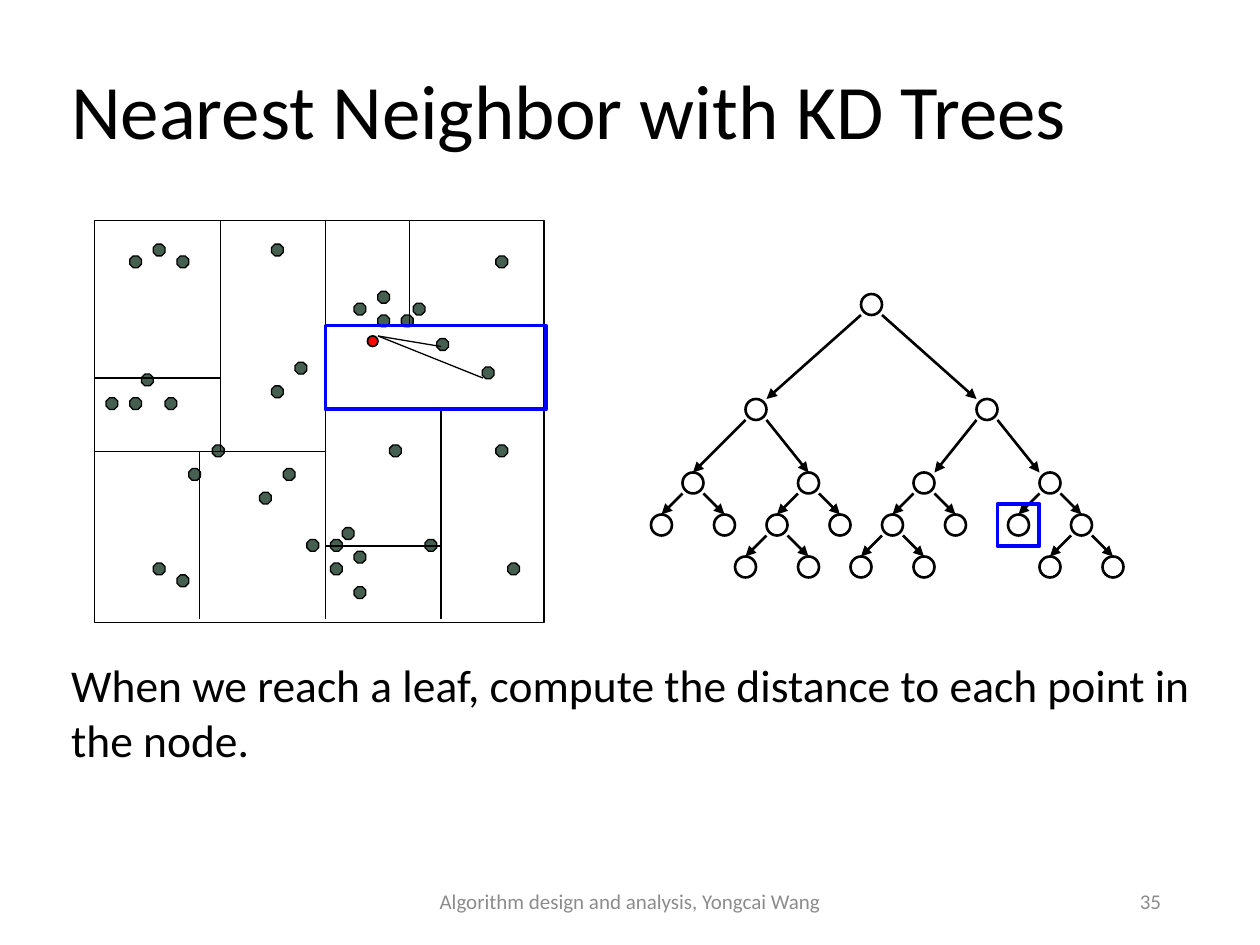
from dataclasses import dataclass

from lxml import etree
from pptx import Presentation
from pptx.dml.color import RGBColor
from pptx.enum.shapes import MSO_CONNECTOR, MSO_SHAPE
from pptx.enum.text import MSO_ANCHOR, PP_ALIGN
from pptx.oxml.ns import qn
from pptx.util import Inches, Pt

LINE = MSO_CONNECTOR.STRAIGHT
RECT, OVAL, OCTAGON = MSO_SHAPE.RECTANGLE, MSO_SHAPE.OVAL, MSO_SHAPE.OCTAGON
TOP, MIDDLE = MSO_ANCHOR.TOP, MSO_ANCHOR.MIDDLE
LEFT, CENTER, RIGHT = PP_ALIGN.LEFT, PP_ALIGN.CENTER, PP_ALIGN.RIGHT


@dataclass(frozen=True)
class Theme:
    font: str = "Calibri"
    ink: str = "000000"
    muted: str = "8C8C8C"
    point: str = "455F51"
    query: str = "FF0600"
    highlight: str = "0000FF"
    title: float = 44
    body: float = 26
    footer: float = 12
    hairline: float = 0.75
    thin: float = 1
    edge: float = 1.5
    bold: float = 2.25


THEME = Theme()

# The slide is a grid of 120 columns by 90 rows, 12 to the inch.
WIDTH, HEIGHT, PER_INCH = 120, 90, 12

# Data points lie on a finer lattice: row -> columns.
POINT_LEFT, POINT_TOP, POINT_STEP, POINT_SIZE = 10.1, 23.25, 1.125, 1.12
POINTS = {
    0: (4, 14), 1: (2, 6, 33), 4: (23,), 5: (21, 26), 6: (23, 25),
    8: (28,), 10: (16,), 11: (3,), 12: (14,), 13: (0, 2, 5),
    17: (9, 24, 33), 19: (7, 15), 21: (13,), 24: (20,),
    25: (17, 19, 27), 26: (21,), 27: (4, 19, 34), 28: (6,), 29: (21,),
    10.4: (31.85,),
}

# Splitting lines of the plane: x1, y1, x2, y2.
SPLITS = [
    (31, 21, 31, 59), (31, 39, 52, 39), (42, 39, 42, 59), (31, 52, 42, 52),
    (9, 43, 31, 43), (21, 43, 21, 21), (31, 31, 52, 31), (39, 21, 39, 31),
    (19, 43, 19, 59), (9, 36, 21, 36),
]
QUERY_START = (36, 32)
QUERY_ENDS = [(42, 33), (46, 36)]

LEVEL_TOPS = [28, 38, 45, 49, 53]
NODE_SIZE = 2


@dataclass(frozen=True)
class Node:
    """Tree node; inset shifts the incoming arrowhead towards the parent."""
    x: float
    inset: float = 0
    children: tuple = ()


def fork(x, inset=0, left=(), right=()):
    """Node with two children three columns to either side."""
    return Node(x, inset, (Node(x - 3, 0, left), Node(x + 3, 0, right)))


def leaf_pair(x):
    return fork(x).children


TREE = Node(83, 0, (
    Node(72, 1, (fork(66), fork(77, left=leaf_pair(74)))),
    Node(94, 1, (fork(88, 1, left=leaf_pair(85)),
                 fork(100, 1, right=leaf_pair(103)))),
))


def units(*values):
    return [Inches(v / PER_INCH) for v in values]


def rgb(color):
    return RGBColor.from_string(color)


def add_outline(slide, kind, box, width, color=THEME.ink, fill=None):
    sp = slide.shapes.add_shape(kind, *units(*box))
    sp.shadow.inherit = False
    if fill:
        sp.fill.solid()
        sp.fill.fore_color.rgb = rgb(fill)
    else:
        sp.fill.background()
    sp.line.color.rgb = rgb(color)
    sp.line.width = Pt(width)
    return sp


def add_line(slide, start, end, width, arrow=False):
    cx = slide.shapes.add_connector(LINE, *units(*start, *end))
    cx.line.color.rgb = rgb(THEME.ink)
    cx.line.width = Pt(width)
    if arrow:
        etree.SubElement(cx.line._get_or_add_ln(), qn("a:tailEnd"), type="triangle")
    etree.SubElement(cx._element.spPr, qn("a:effectLst"))


def add_text(slide, text, box, size, color=THEME.ink, align=LEFT, anchor=TOP,
             spacing=None):
    tf = slide.shapes.add_textbox(*units(*box)).text_frame
    tf.word_wrap = True
    tf.vertical_anchor = anchor
    p = tf.paragraphs[0]
    p.alignment = align
    p.line_spacing = spacing
    r = p.add_run()
    r.text = text
    r.font.name = THEME.font
    r.font.size = Pt(size)
    r.font.color.rgb = rgb(color)


def add_points(slide):
    for row, columns in POINTS.items():
        for column in columns:
            box = (POINT_LEFT + column * POINT_STEP, POINT_TOP + row * POINT_STEP,
                   POINT_SIZE, POINT_SIZE)
            sp = add_outline(slide, OCTAGON, box, THEME.hairline, fill=THEME.point)
            sp.adjustments[0] = 0.293


def add_partition(slide):
    add_outline(slide, RECT, (9, 21, 42.8, 38.3), THEME.thin)
    for x1, y1, x2, y2 in SPLITS:
        add_line(slide, (x1, y1), (x2, y2), THEME.thin)


def add_query(slide):
    """Query point, the leaf region it falls in, and its distances."""
    add_outline(slide, OVAL, (35, 32, 1, 1), THEME.thin, fill=THEME.query)
    add_outline(slide, RECT, (31, 31, 21, 8), THEME.bold, THEME.highlight)
    for end in QUERY_ENDS:
        add_line(slide, QUERY_START, end, THEME.hairline)


def add_tree(slide, node, level=0):
    top, half = LEVEL_TOPS[level], NODE_SIZE / 2
    add_outline(slide, OVAL, (node.x - half, top, NODE_SIZE, NODE_SIZE), THEME.edge)
    for child in node.children:
        side = 1 if child.x > node.x else -1
        add_line(slide, (node.x + side * half, top + NODE_SIZE),
                 (child.x - side * child.inset, LEVEL_TOPS[level + 1]),
                 THEME.edge, arrow=True)
        add_tree(slide, child, level + 1)


def main():
    prs = Presentation()
    prs.slide_width, prs.slide_height = units(WIDTH, HEIGHT)
    s = prs.slides.add_slide(prs.slide_layouts[6])

    add_text(s, "Nearest Neighbor with KD Trees", (5.6, 3.4, 111.4, 15),
             THEME.title, anchor=MIDDLE, spacing=0.9)
    add_points(s)
    add_partition(s)
    add_query(s)
    add_tree(s, TREE)
    add_outline(s, RECT, (95, 48, 4, 4), THEME.bold, THEME.highlight)
    add_text(s, "When we reach a leaf, compute the distance to each point in the node.",
             (5.6, 62, 111.4, 11.8), THEME.body)

    footer = {"size": THEME.footer, "color": THEME.muted, "anchor": MIDDLE}
    add_text(s, "Algorithm design and analysis, Yongcai Wang",
             (39.75, 83.4, 40.5, 4.8), align=CENTER, **footer)
    add_text(s, "35", (84.75, 83.4, 27, 4.8), align=RIGHT, **footer)
    prs.save("out.pptx")


if __name__ == "__main__":
    main()
